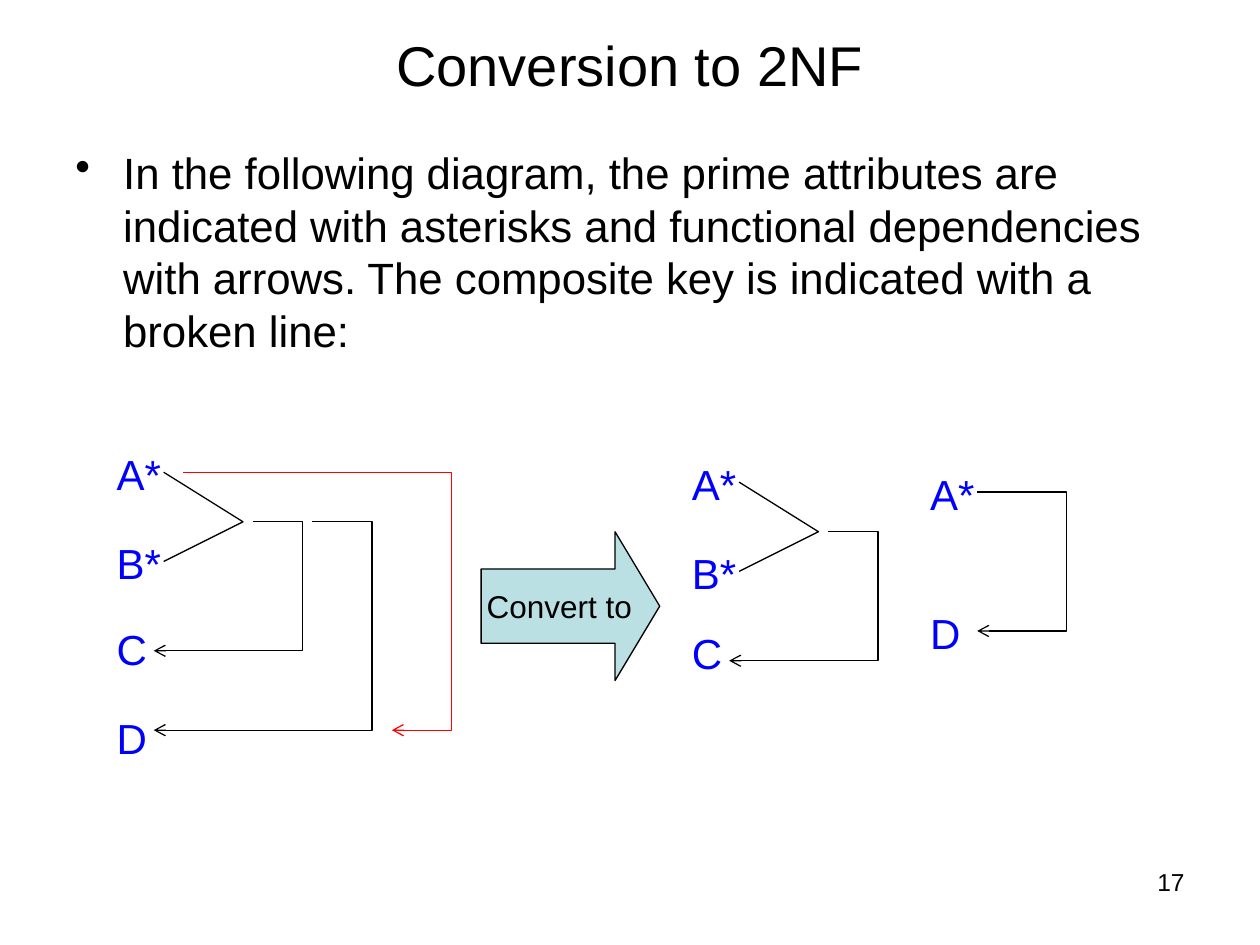
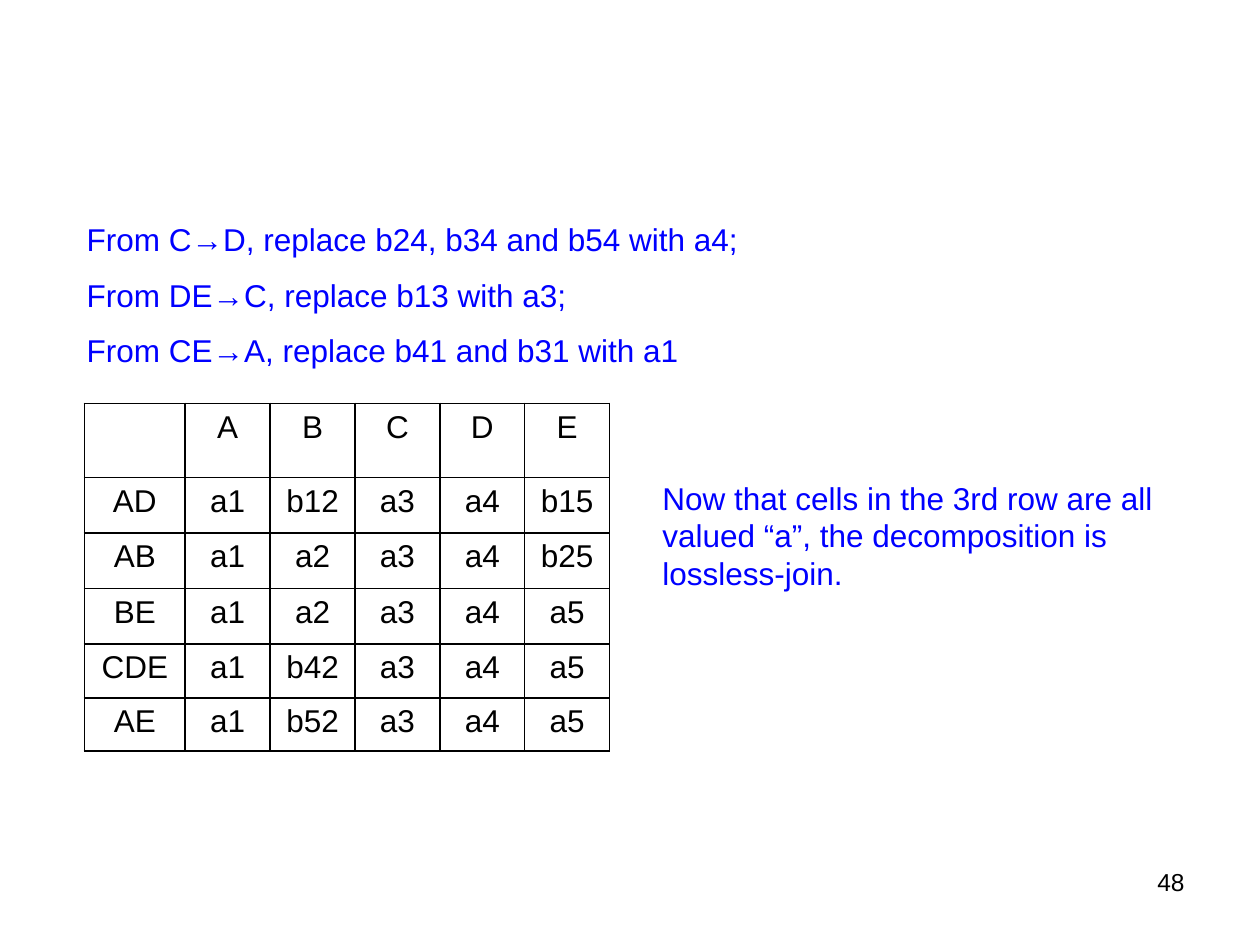
from dataclasses import dataclass
from typing import Optional

from lxml import etree
from pptx import Presentation
from pptx.dml.color import RGBColor
from pptx.enum.shapes import MSO_SHAPE
from pptx.enum.text import MSO_ANCHOR, MSO_AUTO_SIZE, PP_ALIGN
from pptx.oxml.ns import qn
from pptx.util import Inches, Mm, Pt

FONT = "Arial"
COLORS = {"text": "000000", "accent": "0000FF", "violation": "FF0000", "arrow": "BBE0E3"}
SLIDE_WIDTH, SLIDE_HEIGHT = Inches(10), Inches(7.5)
GRID = Mm(2)  # pitch of the diagram grid
LABEL_COLUMN, LABEL_COLUMNS, LABEL_ROWS = -6, 9, 6.35


@dataclass(frozen=True)
class Box:
    """A rectangle on the slide, in EMU."""
    left: int
    top: int
    width: int
    height: int


@dataclass(frozen=True)
class TextStyle:
    """How the paragraphs of one text look."""
    size: float
    color: str = "text"
    align: PP_ALIGN = PP_ALIGN.LEFT
    gap: float = 0
    bullet: bool = False


@dataclass(frozen=True)
class Label:
    """An attribute name and its grid row, counted from the diagram's origin."""
    text: str
    row: float


@dataclass(frozen=True)
class Path:
    """A bent line through (column, row) points of a diagram."""
    points: tuple
    color: str = "text"
    arrow: bool = True


@dataclass(frozen=True)
class Diagram:
    """One relation: grid origin, attributes and dependency lines."""
    column: float
    row: float
    labels: tuple
    paths: tuple


TITLE = TextStyle(32, align=PP_ALIGN.CENTER)
BODY = TextStyle(25, bullet=True)
PAGE_NUMBER = TextStyle(14, align=PP_ALIGN.RIGHT)
ATTRIBUTE = TextStyle(24, "accent")
COMMENT = TextStyle(18, "accent", gap=10)
CENTERED = TextStyle(18, align=PP_ALIGN.CENTER)

COMPOSITE_KEY = Path(((0, 0), (8, 5), (0, 9)), arrow=False)
KEY_TO_C = Path(((9, 5), (14, 5), (14, 18), (-1, 18)))
KEY_TO_D = Path(((15, 5), (21, 5), (21, 26), (-1, 26)))
PARTIAL_A_TO_D = Path(((2, 0), (29, 0), (29, 26), (23, 26)), "violation")
A_TO_D = Path(((0, 0), (9, 0), (9, 14), (0, 14)))
KEY_LABELS = (Label("A*", -3), Label("B*", 6))

DIAGRAMS = (
    Diagram(16.5, 47.6, KEY_LABELS + (Label("C", 14.6), Label("D", 23.6)),
            (COMPOSITE_KEY, KEY_TO_C, KEY_TO_D, PARTIAL_A_TO_D)),
    Diagram(74.5, 48.6, KEY_LABELS + (Label("C", 14),), (COMPOSITE_KEY, KEY_TO_C)),
    Diagram(98.5, 49.6, (Label("A*", -3), Label("D", 11)), (A_TO_D,)),
)

TABLEAU = (
    ("", "A", "B", "C", "D", "E"),
    ("AD", "a1", "b12", "a3", "a4", "b15"),
    ("AB", "a1", "a2", "a3", "a4", "b25"),
    ("BE", "a1", "a2", "a3", "a4", "a5"),
    ("CDE", "a1", "b42", "a3", "a4", "a5"),
    ("AE", "a1", "b52", "a3", "a4", "a5"),
)
COLUMN_SHARES = (8,) + (6.74,) * 5
ROW_SHARES = (7.87, 5.87, 5.87, 5.87, 5.73, 5.6)


def share_box(left: float, top: float, width: float, height: float) -> Box:
    """Make a box from percentages of the slide's size."""
    return Box(round(SLIDE_WIDTH * left / 100), round(SLIDE_HEIGHT * top / 100),
               round(SLIDE_WIDTH * width / 100), round(SLIDE_HEIGHT * height / 100))


def grid_box(column: float, row: float, columns: float, rows: float) -> Box:
    """Make a box from cells of the diagram grid."""
    return Box(*(round(GRID * cells) for cells in (column, row, columns, rows)))


def color_of(name: str) -> RGBColor:
    """Look up a named colour."""
    return RGBColor.from_string(COLORS[name])


def write_text(text_frame, lines: tuple, style: TextStyle) -> None:
    """Fill a text frame with one paragraph per line."""
    for index, line in enumerate(lines):
        paragraph = text_frame.add_paragraph() if index else text_frame.paragraphs[0]
        paragraph.text = line
        paragraph.alignment = style.align
        paragraph.font.name = FONT
        paragraph.font.size = Pt(style.size)
        paragraph.font.color.rgb = color_of(style.color)
        if index:
            paragraph.space_before = Pt(style.gap)
        if style.bullet:
            properties = paragraph._p.get_or_add_pPr()
            properties.set("marL", str(Inches(0.38)))
            properties.set("indent", str(-Inches(0.38)))
            bullet = etree.Element(qn("a:buChar"), char="•")
            properties.insert_element_before(bullet, "a:tabLst", "a:defRPr", "a:extLst")


def add_text(slide, box: Box, lines: tuple, style: TextStyle,
             anchor: MSO_ANCHOR = MSO_ANCHOR.TOP, grow: bool = False) -> None:
    """Add a wrapping text box."""
    shape = slide.shapes.add_textbox(box.left, box.top, box.width, box.height)
    text_frame = shape.text_frame
    text_frame.word_wrap = True
    text_frame.vertical_anchor = anchor
    if grow:
        text_frame.auto_size = MSO_AUTO_SIZE.SHAPE_TO_FIT_TEXT
    write_text(text_frame, lines, style)


def set_outline(shape, color: str) -> None:
    """Give a shape a thin line and no shadow."""
    shape.shadow.inherit = False
    shape.line.color.rgb = color_of(color)
    shape.line.width = Pt(0.75)


def add_path(slide, diagram: Diagram, path: Path) -> None:
    """Draw a bent line, with an arrowhead at its end if asked."""
    points = [(round(GRID * (diagram.column + column)), round(GRID * (diagram.row + row)))
              for column, row in path.points]
    builder = slide.shapes.build_freeform(*points[0])
    builder.add_line_segments(points[1:], close=False)
    shape = builder.convert_to_shape()
    shape.fill.background()
    set_outline(shape, path.color)
    if path.arrow:
        line = shape.element.spPr.find(qn("a:ln"))
        etree.SubElement(line, qn("a:tailEnd"), type="arrow")


def add_diagram(slide, diagram: Diagram) -> None:
    """Draw a relation's attributes and dependencies."""
    for label in diagram.labels:
        box = grid_box(diagram.column + LABEL_COLUMN, diagram.row + label.row,
                       LABEL_COLUMNS, LABEL_ROWS)
        add_text(slide, box, (label.text,), ATTRIBUTE, grow=True)
    for path in diagram.paths:
        add_path(slide, diagram, path)


def add_convert_arrow(slide, box: Box, text: str) -> None:
    """Add the block arrow between the relations."""
    shape = slide.shapes.add_shape(MSO_SHAPE.RIGHT_ARROW, box.left, box.top,
                                   box.width, box.height)
    shape.adjustments[0], shape.adjustments[1] = 0.5, 0.3
    shape.fill.solid()
    shape.fill.fore_color.rgb = color_of("arrow")
    set_outline(shape, "text")
    shape.text_frame.word_wrap = False
    shape.text_frame.vertical_anchor = MSO_ANCHOR.MIDDLE
    write_text(shape.text_frame, (text,), CENTERED)


def set_borders(cell, color: str, width: float) -> None:
    """Line all four sides of a cell."""
    properties = cell._tc.get_or_add_tcPr()
    for index, side in enumerate(("lnL", "lnR", "lnT", "lnB")):
        line = etree.Element(qn(f"a:{side}"), w=str(Pt(width)))
        fill = etree.SubElement(line, qn("a:solidFill"))
        etree.SubElement(fill, qn("a:srgbClr"), val=COLORS[color])
        properties.insert(index, line)


def add_tableau(slide, left: float, top: float) -> None:
    """Add the lossless-join test table."""
    box = share_box(left, top, sum(COLUMN_SHARES), sum(ROW_SHARES))
    table = slide.shapes.add_table(len(TABLEAU), len(COLUMN_SHARES), box.left, box.top,
                                   box.width, box.height).table
    table.first_row = table.horz_banding = False
    for column, share in zip(table.columns, COLUMN_SHARES):
        column.width = round(SLIDE_WIDTH * share / 100)
    for row, share, values in zip(table.rows, ROW_SHARES, TABLEAU):
        row.height = round(SLIDE_HEIGHT * share / 100)
        for cell, value in zip(row.cells, values):
            cell.fill.background()
            set_borders(cell, "text", 1)
            write_text(cell.text_frame, (value,), CENTERED)


def add_slide(presentation, number: int, title: Optional[str] = None):
    """Add a blank slide with its page number and, if given, a title."""
    slide = presentation.slides.add_slide(presentation.slide_layouts[6])
    add_text(slide, share_box(71.7, 91.07, 23.3, 6.93), (str(number),), PAGE_NUMBER)
    if title:
        add_text(slide, share_box(5, 2.13, 90, 9.2), (title,), TITLE, MSO_ANCHOR.MIDDLE)
    return slide


def build_conversion_slide(presentation) -> None:
    """Show a relation before and after conversion."""
    slide = add_slide(presentation, 17, "Conversion to 2NF")
    add_text(slide, share_box(5, 14.8, 90, 74.53), (
        "In the following diagram, the prime attributes are indicated with asterisks "
        "and functional dependencies with arrows. The composite key is indicated with "
        "a broken line:",), BODY)
    for diagram in DIAGRAMS:
        add_diagram(slide, diagram)
    add_convert_arrow(slide, grid_box(48.5, 53.6, 18, 15), "Convert to")


def build_lossless_slide(presentation) -> None:
    """Show the final tableau of the lossless-join test."""
    slide = add_slide(presentation, 48)
    add_text(slide, share_box(5.9, 22.67, 54.7, 17.33), (
        "From C→D, replace b24, b34 and b54 with a4;",
        "From DE→C, replace b13 with a3;",
        "From CE→A, replace b41 and b31 with a1"), COMMENT, grow=True)
    add_tableau(slide, 6.7, 42.67)
    add_text(slide, share_box(51.6, 50, 43.4, 13.47), (
        "Now that cells in the 3rd row are all valued “a”, the decomposition is "
        "lossless-join.",), COMMENT, grow=True)


def main() -> None:
    """Build and save the presentation."""
    presentation = Presentation()
    presentation.slide_width, presentation.slide_height = SLIDE_WIDTH, SLIDE_HEIGHT
    build_conversion_slide(presentation)
    build_lossless_slide(presentation)
    presentation.save("out.pptx")


main()
